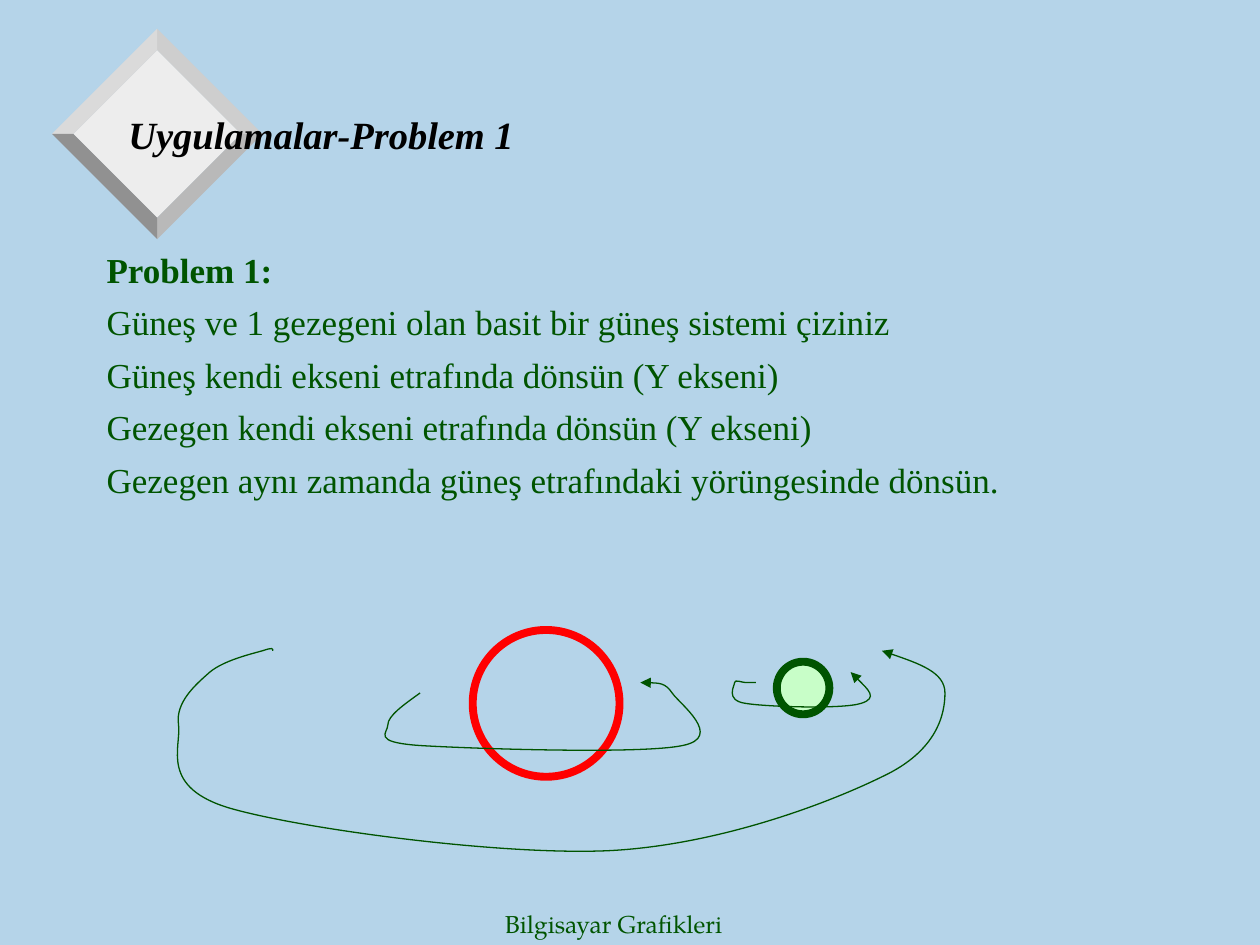
import pptx
import pptx.util
import pptx.dml.color
import pptx.enum.shapes
import pptx.enum.text
import pptx.oxml.ns
import pptx.oxml.xmlchemy
from pptx.util import Cm

THEME = {
    "background": "B5D4E9", "ink": "005400", "title": "000000",
    "sun": "FF0000", "planet": "C8FEC8", "diamond": "EDEDED",
    "serif": "Times New Roman", "footer_font": "TeX Gyre Pagella",
    "title_size": 22, "body_size": 20, "footer_size": 14,
    "body_gap": 6, "ring_width": 4.5, "path_width": 0.75,
}

TITLE = "Uygulamalar-Problem 1"
HEADING = "Problem 1:"
TASKS = [
    "Güneş ve 1 gezegeni olan basit bir güneş sistemi çiziniz",
    "Güneş kendi ekseni etrafında dönsün (Y ekseni)",
    "Gezegen kendi ekseni etrafında dönsün (Y ekseni)",
    "Gezegen aynı zamanda güneş etrafındaki yörüngesinde dönsün.",
]
FOOTER = "Bilgisayar Grafikleri"

# Diamond in cm: centre, half diagonals, and bevel colours by (x side, y side)
DIAMOND_CENTRE = (3.17, 2.7)
INNER, OUTER = 1.69, 2.12
BEVELS = {(1, -1): "CECECE", (-1, -1): "DADADA", (1, 1): "B9B9B9", (-1, 1): "919191"}

# Left, top, diameter in cm; fill; line
BODIES = [
    (9.53, 12.7, 2.96, None, THEME["sun"]),
    (15.66, 13.34, 1.06, THEME["planet"], THEME["ink"]),
]

# Bezier points in cm: a start, then two control points and an end for each curve
SUN_SPIN = [
    (8.47, 13.97),
    (8.15, 14.2), (7.82, 14.43), (7.82, 14.61),
    (7.82, 14.78), (7.47, 14.96), (8.47, 15.03),
    (9.45, 15.09), (12.91, 15.21), (13.76, 15.03),
    (14.61, 14.86), (13.69, 14.18), (13.55, 13.97),
    (13.41, 13.76), (13.16, 13.76), (12.91, 13.76),
]
PLANET_SPIN = [
    (15.24, 13.76),
    (15.16, 13.76), (15.09, 13.76), (15.03, 13.76),
    (14.96, 13.76), (14.81, 13.69), (14.81, 13.76),
    (14.81, 13.82), (14.61, 14.12), (15.03, 14.18),
    (15.45, 14.25), (16.99, 14.3), (17.36, 14.18),
    (17.71, 14.07), (17.42, 13.82), (17.15, 13.55),
]
ORBIT = [
    (5.5, 13.12),
    (5.5, 13.07), (5.5, 13.05), (5.29, 13.12),
    (5.08, 13.18), (4.52, 13.31), (4.23, 13.55),
    (3.96, 13.79), (3.53, 14.15), (3.6, 14.61),
    (3.66, 15.06), (3.2, 15.88), (4.66, 16.3),
    (6.1, 16.71), (10.08, 17.25), (12.28, 17.15),
    (14.45, 17.04), (16.66, 16.21), (17.78, 15.66),
    (18.9, 15.14), (19.05, 14.39), (19.05, 13.97),
    (19.05, 13.55), (18.42, 13.34), (17.78, 13.12),
]


def rgb(value):
    return pptx.dml.color.RGBColor.from_string(value)


def style_shape(shape, fill=None, line=None, width=0):
    shape.shadow.inherit = False
    if fill:
        shape.fill.solid()
        shape.fill.fore_color.rgb = rgb(fill)
    else:
        shape.fill.background()
    if line:
        shape.line.color.rgb = rgb(line)
        shape.line.width = pptx.util.Pt(width)
    else:
        shape.line.fill.background()


def add_outline(page, points, close):
    start, *rest = [(Cm(x), Cm(y)) for x, y in points]
    builder = page.shapes.build_freeform(*start)
    builder.add_line_segments(rest, close=close)
    return builder.convert_to_shape()


def add_curved_arrow(page, points):
    """Draw the control polygon, then regroup its segments by three as Bezier curves."""
    shape = add_outline(page, points, close=False)
    style_shape(shape, line=THEME["ink"], width=THEME["path_width"])
    new_element = pptx.oxml.xmlchemy.OxmlElement
    segments = list(shape.element.iter(pptx.oxml.ns.qn("a:lnTo")))
    for first in range(0, len(segments), 3):
        curve = new_element("a:cubicBezTo")
        segments[first].addprevious(curve)
        for segment in segments[first:first + 3]:
            curve.append(segment[0])
            segment.getparent().remove(segment)
    arrowhead = new_element("a:tailEnd")
    arrowhead.set("type", "triangle")
    shape.element.spPr.get_or_add_ln().append(arrowhead)


def add_text(page, lines, left, top, width, height, *, size, color,
             font=THEME["serif"], bold_lines=(), italic=False, middle=False, gap=0):
    box = page.shapes.add_textbox(Cm(left), Cm(top), Cm(width), Cm(height))
    frame = box.text_frame
    frame.word_wrap = True
    anchors = pptx.enum.text.MSO_ANCHOR
    frame.vertical_anchor = anchors.MIDDLE if middle else anchors.TOP
    for index, line in enumerate(lines):
        para = frame.paragraphs[0] if index == 0 else frame.add_paragraph()
        if index and gap:
            para.space_before = pptx.util.Pt(gap)
        span = para.add_run()
        span.text = line
        span.font.name = font
        span.font.size = pptx.util.Pt(size)
        span.font.color.rgb = rgb(color)
        span.font.bold = index in bold_lines
        span.font.italic = italic


def add_diamond(page):
    cx, cy = DIAMOND_CENTRE
    face = [(cx, cy - INNER), (cx - INNER, cy), (cx, cy + INNER), (cx + INNER, cy)]
    style_shape(add_outline(page, face, close=True), fill=THEME["diamond"])
    for (side_x, side_y), color in BEVELS.items():
        bevel = [
            (cx, cy + side_y * INNER), (cx, cy + side_y * OUTER),
            (cx + side_x * OUTER, cy), (cx + side_x * INNER, cy),
        ]
        style_shape(add_outline(page, bevel, close=True), fill=color)


def main():
    deck = pptx.Presentation()
    deck.slide_width, deck.slide_height = Cm(25.4), Cm(19.05)
    page = deck.slides.add_slide(deck.slide_layouts[6])
    page.background.fill.solid()
    page.background.fill.fore_color.rgb = rgb(THEME["background"])

    add_diamond(page)
    add_text(page, [FOOTER], 9.93, 18.21, 5.28, 0.84, size=THEME["footer_size"],
             color=THEME["ink"], font=THEME["footer_font"], middle=True)
    add_text(page, [TITLE], 2.34, 1.17, 21.59, 3.07, size=THEME["title_size"],
             color=THEME["title"], bold_lines=[0], italic=True, middle=True)
    add_text(page, [HEADING, *TASKS], 1.9, 4.88, 21.59, 5.46, size=THEME["body_size"],
             color=THEME["ink"], bold_lines=[0], gap=THEME["body_gap"])

    for left, top, diameter, fill, line in BODIES:
        body = page.shapes.add_shape(pptx.enum.shapes.MSO_SHAPE.OVAL, Cm(left), Cm(top),
                                     Cm(diameter), Cm(diameter))
        style_shape(body, fill=fill, line=line, width=THEME["ring_width"])
    for points in (SUN_SPIN, PLANET_SPIN, ORBIT):
        add_curved_arrow(page, points)

    deck.save("out.pptx")


if __name__ == "__main__":
    main()
